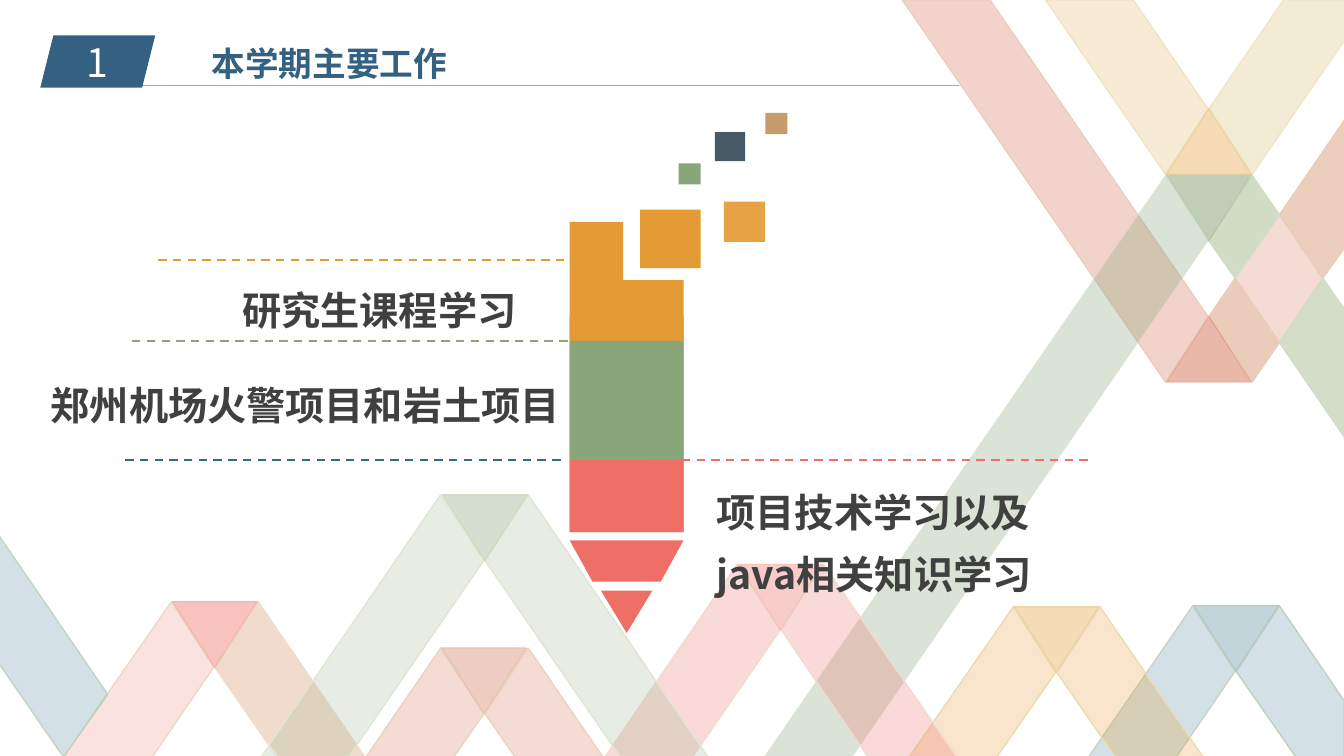
from pptx import Presentation
from pptx.dml.color import RGBColor
from pptx.enum.dml import MSO_LINE
from pptx.enum.shapes import MSO_CONNECTOR, MSO_SHAPE
from pptx.enum.text import MSO_ANCHOR, MSO_AUTO_SIZE, PP_ALIGN
from pptx.oxml import parse_xml
from pptx.oxml.ns import nsdecls, qn
from pptx.util import Inches, Pt

RECT = MSO_SHAPE.RECTANGLE
LEFT, CENTER, RIGHT = PP_ALIGN.LEFT, PP_ALIGN.CENTER, PP_ALIGN.RIGHT
TOP, MIDDLE = MSO_ANCHOR.TOP, MSO_ANCHOR.MIDDLE

THEME = {
    "font": "Noto Sans CJK SC", "title_size": 24, "body_size": 28,
    "navy": "346182", "orange": "E49B35", "green": "89A67A", "red": "ED6F65",
    "teal": "287184", "tan": "C79B6C", "slate": "324554",
    "text": "404040", "white": "FFFFFF", "rule": "A6A6A6",
}

TITLE = "本学期主要工作"
SECTION_NUMBER = "1"
# text, box, alignment
WORK_ITEMS = [
    ("研究生课程学习", (1.19, 2.65, 4.03, 0.65), RIGHT),
    ("郑州机场火警项目和岩土项目", (0.17, 3.59, 5.48, 0.65), RIGHT),
    ("项目技术学习以及java相关知识学习", (7.01, 4.66, 4.03, 1.27), LEFT),
]
# start x, end x, y, colour
DASHED_RULES = [
    (1.57, 5.91, 2.58, "orange"),
    (1.31, 5.65, 3.38, "green"),
    (5.56, 1.22, 4.56, "teal"),
    (10.79, 6.45, 4.56, "red"),
]
PENCIL_TIP = [
    (MSO_SHAPE.ISOSCELES_TRIANGLE, (5.96, 5.86, 0.51, 0.42), 180),
    (MSO_SHAPE.FLOWCHART_MANUAL_OPERATION, (5.65, 5.36, 1.13, 0.41), 0),
]
PENCIL_BODY = [(5.65, 2.2), (6.18, 2.2), (6.18, 2.78), (6.78, 2.78),
               (6.78, 5.28), (5.65, 5.28)]
# box, colour, opacity
PENCIL_BLOCKS = [
    ((6.35, 2.08, 0.6, 0.58), "orange", 100),
    ((6.73, 1.62, 0.22, 0.21), "green", 100),
    ((7.59, 1.12, 0.22, 0.21), "tan", 100),
    ((7.09, 1.31, 0.3, 0.29), "slate", 89),
    ((7.18, 2, 0.41, 0.4), "orange", 92),
    ((5.65, 4.56, 1.13, 0.72), "red", 100),
    ((5.65, 3.38, 1.13, 1.18), "green", 100),
    ((5.65, 3.13, 1.13, 0.25), "orange", 100),
]
# fill, fill opacity, edge, edge opacity, corners
RIBBONS = [
    ("EE8F82", 25, "EED9C6", 100, [(1.7, 5.97), (2.12, 6.62), (1.49, 7.54), (0.61, 7.54)]),
    ("F1DBCC", 100, "F1DBCC", 100, [(2.56, 5.97), (3.64, 7.54), (2.77, 7.54), (2.13, 6.62)]),
    ("ED6F65", 25, "F1DBCC", 100, [(7.31, 5.6), (7.74, 6.25), (6.85, 7.54), (5.98, 7.54)]),
    ("E7B05E", 25, "EFE3C2", 100, [(10.37, 0), (11.24, 0), (11.98, 1.08), (11.56, 1.73)]),
    ("EFE3C2", 71, "EEE6C8", 100, [(12.73, 0), (13.35, 0), (13.35, 0.38), (12.42, 1.73), (11.99, 1.08)]),
    ("D57053", 25, "EAD3BE", 100, [(12.69, 2.13), (13.12, 2.76), (12.69, 3.4), (12.25, 2.76)]),
    ("EBCEBC", 100, "EACDBA", 100, [(13.35, 1.17), (13.35, 2.44), (13.12, 2.76), (12.69, 2.13)]),
    ("D2DBC4", 100, "D3DDC7", 100, [(12.42, 1.74), (12.69, 2.13), (12.25, 2.76), (11.99, 2.39)]),
    ("E9CCBA", 100, "EACDBB", 100, [(12.25, 2.76), (12.69, 3.4), (12.42, 3.79), (11.99, 3.14)]),
    ("D3DDC7", 100, "D3DCC6", 100, [(13.12, 2.76), (13.35, 3.09), (13.35, 4.36), (12.69, 3.4)]),
    ("A2B894", 25, "E0E6D3", 100, [(4.37, 4.91), (4.8, 5.56), (3.43, 7.55), (2.79, 7.55), (2.67, 7.39)]),
    ("A2B894", 25, "E0E6D3", 100, [(5.24, 4.91), (7.05, 7.55), (6.18, 7.55), (4.81, 5.56)]),
    ("A2B894", 25, "E0E6D3", 100, [(2.67, 7.4), (2.78, 7.55), (2.56, 7.55)]),
    ("508799", 25, "C3D4C3", 100, [(-0.04, 5.27), (1.07, 6.89), (0.63, 7.51), (-0.04, 6.54)]),
    ("D57053", 25, "EAD3BF", 100, [(5.24, 6.43), (6, 7.54), (5.13, 7.54), (4.81, 7.08)]),
    ("508799", 25, "C4D5C6", 100, [(11.83, 6.01), (12.25, 6.66), (11.66, 7.52), (10.79, 7.52)]),
    ("508799", 25, "BFD1BD", 100, [(12.69, 6.01), (13.33, 6.95), (13.33, 7.52), (12.86, 7.52), (12.26, 6.66)]),
    ("E49B35", 25, "EBDCB0", 100, [(10.05, 6.02), (10.47, 6.67), (9.86, 7.55), (8.99, 7.55)]),
    ("E49B35", 25, "EBDCB2", 100, [(10.91, 6.02), (11.96, 7.55), (11.09, 7.55), (10.48, 6.67)]),
    ("D57053", 25, "EAD3BF", 100, [(4.37, 6.43), (4.8, 7.08), (4.48, 7.54), (3.61, 7.54)]),
    ("D57053", 30, "EACEBC", 100, [(8.95, 0), (9.82, 0), (11.98, 3.14), (11.56, 3.79)]),
    ("88A378", 30, "D3DCC5", 30, [(11.56, 1.74), (11.98, 2.39), (8.43, 7.54), (7.56, 7.54)]),
    ("ED6F65", 25, "F1DBCC", 100, [(8.17, 5.6), (9.51, 7.54), (8.63, 7.54), (7.75, 6.25)]),
]
# fill, fill opacity, edge, edge opacity, left, flat side y, apex direction (1 down, -1 up)
FOLDS = [
    ("D57053", 49, "DF9B83", 49, 11.57, 3.79, -1),
    ("E49B35", 36, "EBD3A2", 100, 11.57, 1.73, -1),
    ("88A378", 53, "B3C4A5", 53, 11.57, 1.74, 1),
    ("D57053", 35, "E6C6B1", 100, 4.38, 6.43, 1),
    ("508799", 35, "B5CAC1", 100, 11.84, 6.01, 1),
    ("E49B35", 35, "EBD3A3", 100, 10.06, 6.02, 1),
    ("ED5249", 35, "EFBBAB", 100, 1.71, 5.97, 1),
    ("89A67A", 35, "CFDAC2", 100, 4.39, 4.91, 1),
    ("ED6F65", 35, "F2C7BA", 100, 7.32, 5.6, 1),
]
FOLD_WIDTH, FOLD_HEIGHT = 0.84, 0.65


def rgb(color):
    return RGBColor.from_string(THEME.get(color, color))


def set_opacity(paint, percent):
    """Make the solid colour inside a spPr or ln element partly transparent."""
    if percent < 100:
        color = paint.find(qn("a:solidFill")).find(qn("a:srgbClr"))
        color.append(parse_xml(f'<a:alpha {nsdecls("a")} val="{percent * 1000}"/>'))


def paint_shape(shape, fill, opacity=100, edge=None, edge_opacity=100):
    shape.shadow.inherit = False
    shape.fill.solid()
    shape.fill.fore_color.rgb = rgb(fill)
    properties = shape._element.spPr
    set_opacity(properties, opacity)
    if edge is None:
        shape.line.fill.background()
    else:
        shape.line.color.rgb = rgb(edge)
        shape.line.width = Pt(1)
        set_opacity(properties.find(qn("a:ln")), edge_opacity)


def add_block(slide, kind, box, fill, opacity=100):
    block = slide.shapes.add_shape(kind, *map(Inches, box))
    paint_shape(block, fill, opacity)
    return block


def add_outline(slide, corners, *paint):
    start, *others = [(Inches(x), Inches(y)) for x, y in corners]
    builder = slide.shapes.build_freeform(*start)
    builder.add_line_segments(others, close=True)
    paint_shape(builder.convert_to_shape(), *paint)


def add_rule(slide, x1, x2, y, color, width, dash=None):
    rule = slide.shapes.add_connector(
        MSO_CONNECTOR.STRAIGHT, Inches(x1), Inches(y), Inches(x2), Inches(y))
    rule.line.color.rgb = rgb(color)
    rule.line.width = Pt(width)
    if dash is not None:
        rule.line.dash_style = dash
    rule._element.spPr.append(parse_xml(f'<a:effectLst {nsdecls("a")}/>'))


def write(shape, text, *, size=THEME["body_size"], color="text", bold=False, align=LEFT,
          anchor=TOP, spacing=1.0, wrap=True, fit=MSO_AUTO_SIZE.SHAPE_TO_FIT_TEXT):
    frame = shape.text_frame
    frame.word_wrap = wrap
    frame.auto_size = fit
    frame.vertical_anchor = anchor
    paragraph = frame.paragraphs[0]
    paragraph.alignment = align
    paragraph.line_spacing = spacing
    run = paragraph.add_run()
    run.text = text
    run.font.size = Pt(size)
    run.font.bold = bold
    run.font.color.rgb = rgb(color)
    run.font.name = THEME["font"]
    run.font._element.find(qn("a:latin")).addnext(
        parse_xml(f'<a:ea {nsdecls("a")} typeface="{THEME["font"]}"/>'))


def draw_background(slide):
    for *paint, corners in RIBBONS:
        add_outline(slide, corners, *paint)
    for *paint, left, flat_y, direction in FOLDS:
        corners = [(left, flat_y), (left + FOLD_WIDTH, flat_y),
                   (left + FOLD_WIDTH / 2, flat_y + direction * FOLD_HEIGHT)]
        add_outline(slide, corners, *paint)


def draw_header(slide):
    add_rule(slide, 0.87, 9.51, 0.85, "rule", 0.5)
    badge = add_block(slide, MSO_SHAPE.PARALLELOGRAM, (0.4, 0.35, 1.14, 0.52), "navy")
    write(badge, SECTION_NUMBER, color="white", align=CENTER, anchor=MIDDLE,
          fit=MSO_AUTO_SIZE.NONE)
    title = slide.shapes.title
    title.left, title.top, title.width, title.height = map(Inches, (2, 0.38, 2.56, 0.5))
    write(title, TITLE, size=THEME["title_size"], color="navy", bold=True, wrap=False)


def draw_pencil(slide):
    for kind, box, rotation in PENCIL_TIP:
        add_block(slide, kind, box, "red").rotation = rotation
    add_outline(slide, PENCIL_BODY, "orange")
    for box, color, opacity in PENCIL_BLOCKS:
        add_block(slide, RECT, box, color, opacity)


def draw_work_items(slide):
    for x1, x2, y, color in DASHED_RULES:
        add_rule(slide, x1, x2, y, color, 1.5, MSO_LINE.DASH)
    for text, box, align in WORK_ITEMS:
        label = slide.shapes.add_textbox(*map(Inches, box))
        write(label, text, bold=True, align=align, spacing=1.3)


def main():
    deck = Presentation()
    deck.slide_width, deck.slide_height = Inches(13.33), Inches(7.5)
    slide = deck.slides.add_slide(deck.slide_layouts[5])
    draw_background(slide)
    draw_header(slide)
    draw_pencil(slide)
    draw_work_items(slide)
    deck.save("out.pptx")


if __name__ == "__main__":
    main()
